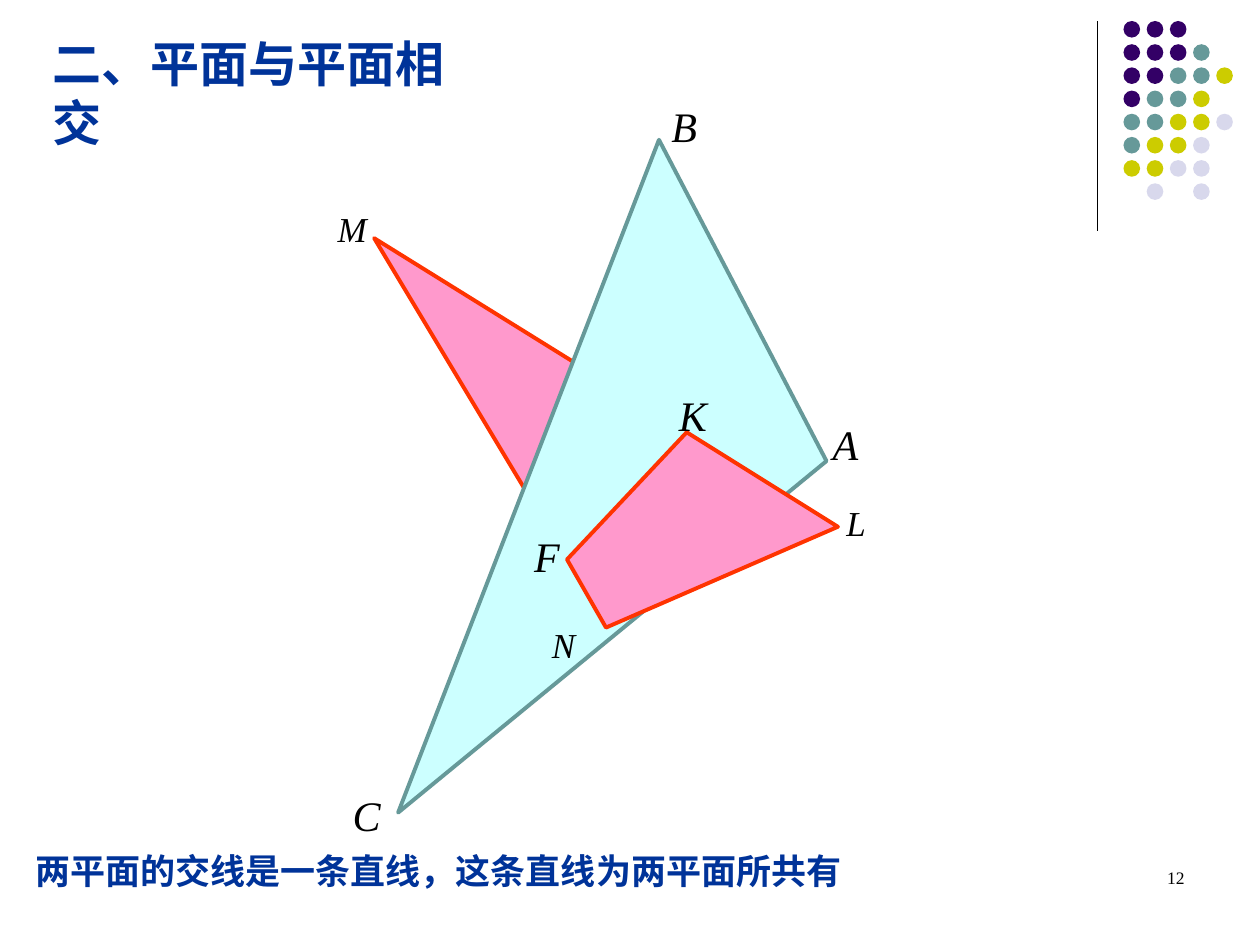
from pptx import Presentation
from pptx import util as u
from pptx.dml.color import RGBColor
from pptx.enum import shapes, text
from pptx.oxml.ns import qn
from lxml import etree

Pt = u.Pt
INK = {
    "black": "000000", "blue": "003399", "purple": "330066",
    "teal": "669999", "olive": "CCCC00", "pale": "D8D8EC",
    "pink": "FF99CC", "red": "FF3300", "aqua": "CCFFFF",
}
SERIF, SANS = "Times New Roman", "Arial"


def tint(name):
    return RGBColor.from_string(INK[name])


class Pen:
    """Holds the drawing style and the current slide."""

    def __init__(self, slide, edge=2.25):
        self.items = slide.shapes
        self.edge = edge

    def rule(self, x1, y1, x2, y2):
        line = self.items.add_connector(
            shapes.MSO_CONNECTOR.STRAIGHT, Pt(x1), Pt(y1), Pt(x2), Pt(y2))
        line.line.color.rgb = tint("black")
        line.line.width = Pt(0.75)
        etree.SubElement(line._element.spPr, qn("a:effectLst"))

    def dot(self, x, y, size, fill):
        dot = self.items.add_shape(
            shapes.MSO_SHAPE.OVAL, Pt(x), Pt(y), Pt(size), Pt(size))
        dot.shadow.inherit = False
        dot.fill.solid()
        dot.fill.fore_color.rgb = tint(fill)
        dot.line.fill.background()

    def plane(self, names, fill, edge):
        """Draw the closed polygon through the named corners."""
        first, *rest = [(Pt(x), Pt(y)) for x, y in map(CORNERS.get, names)]
        outline = self.items.build_freeform(*first)
        outline.add_line_segments(rest, close=True)
        area = outline.convert_to_shape()
        area.shadow.inherit = False
        area.fill.solid()
        area.fill.fore_color.rgb = tint(fill)
        area.line.color.rgb = tint(edge)
        area.line.width = Pt(self.edge)

    def words(self, line, x, y, w, h, size, color="black", face=SERIF,
              bold=False, slant=False, wrap=True, align=text.PP_ALIGN.LEFT):
        box = self.items.add_textbox(Pt(x), Pt(y), Pt(w), Pt(h))
        frame = box.text_frame
        frame.word_wrap = wrap
        para = frame.paragraphs[0]
        para.alignment = align
        run = para.add_run()
        run.text = line
        font = run.font
        font.name, font.size = face, Pt(size)
        font.bold, font.italic = bold, slant
        font.color.rgb = tint(color)

    def label(self, name, x, y, size):
        self.words(name, x, y, 60, size * 1.2 + 7.2, size, slant=True)


CORNERS = {
    "A": (472.3, 263.5), "B": (376.6, 79.9), "C": (227.5, 464.4),
    "M": (213.8, 136.1), "K": (392.4, 247), "F": (324, 319.7),
    "N": (346.3, 358.6), "L": (478.8, 301),
}
LABELS = [
    ("M", 185.8, 115.2, 20), ("B", 376.6, 54, 24), ("C", 194.4, 447.8, 24),
    ("A", 468.7, 235.4, 24), ("F", 298.1, 299.5, 24), ("K", 380.9, 218.9, 24),
    ("N", 308.2, 352.8, 20), ("L", 476.6, 283, 20),
]
DOTS = ["ppp", "pppt", "pptto", "ptto", "ttool", "tool", "ooll", " l l"]
KEYS = {"p": "purple", "t": "teal", "o": "olive", "l": "pale"}


def main():
    deck = Presentation()
    deck.slide_width, deck.slide_height = Pt(720), Pt(540)
    pen = Pen(deck.slides.add_slide(deck.slide_layouts[6]))

    pen.rule(627, 12.2, 627, 132)
    step = 13.25
    for row, marks in enumerate(DOTS):
        for col, mark in enumerate(marks):
            if mark in KEYS:
                pen.dot(642 + col * step, 12 + row * step, 9.5, KEYS[mark])

    pen.plane("FMK", "pink", "red")
    pen.plane("ACB", "aqua", "teal")
    pen.plane("KFNL", "pink", "red")
    for item in LABELS:
        pen.label(*item)

    pen.words("两平面的交线是一条直线，这条直线为两平面所共有",
              13, 481.7, 524, 31.5, 20, "blue", bold=True)
    pen.words("二、平面与平面相交", 23, 15.8, 265.7, 41, 28, "blue", SANS,
              bold=True, wrap=False)
    pen.words("12", 516.2, 491.8, 167.8, 36, 10, align=text.PP_ALIGN.RIGHT)
    deck.save("out.pptx")


if __name__ == "__main__":
    main()
